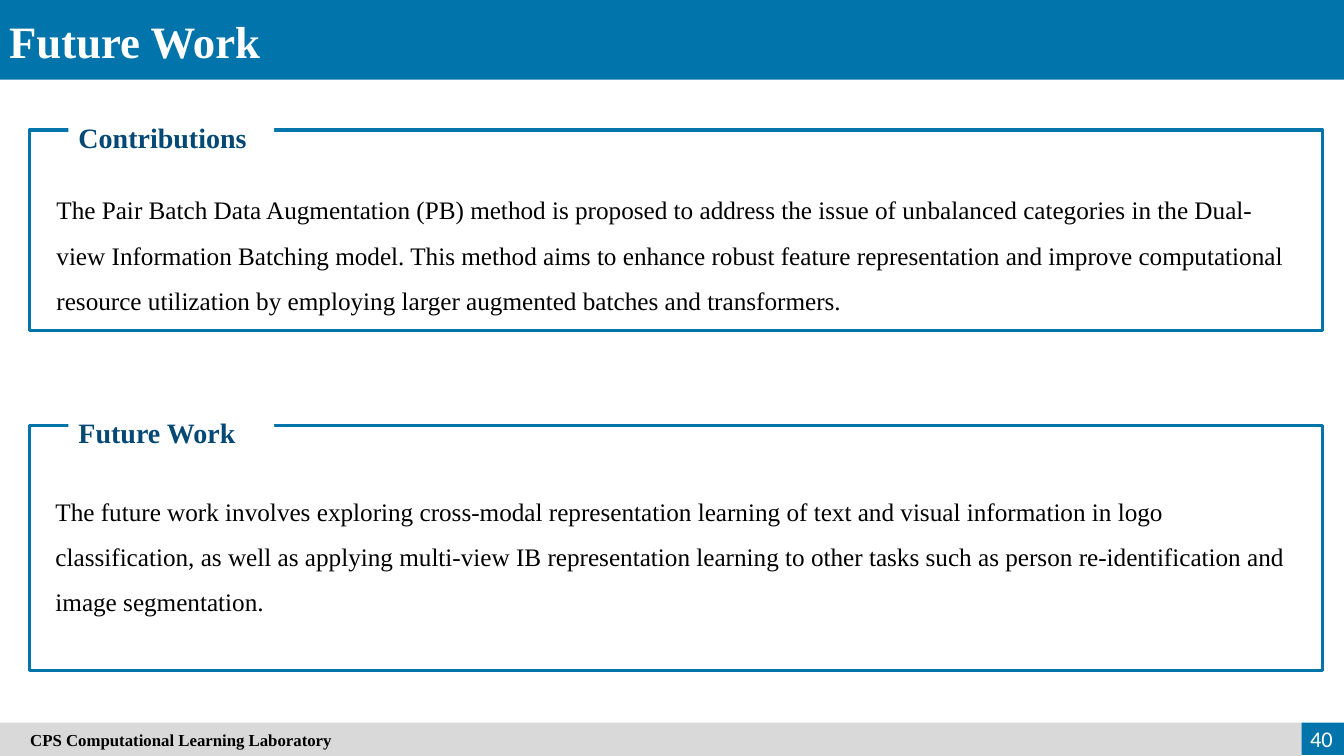
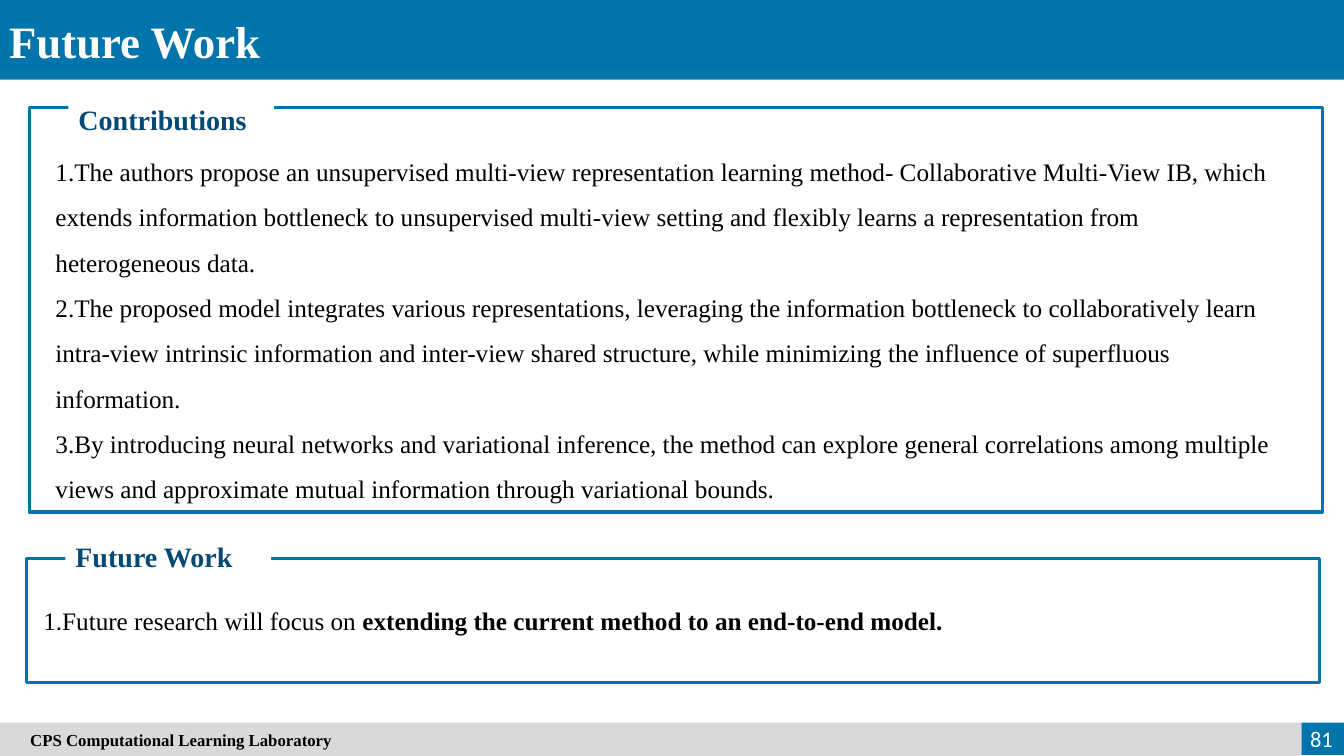
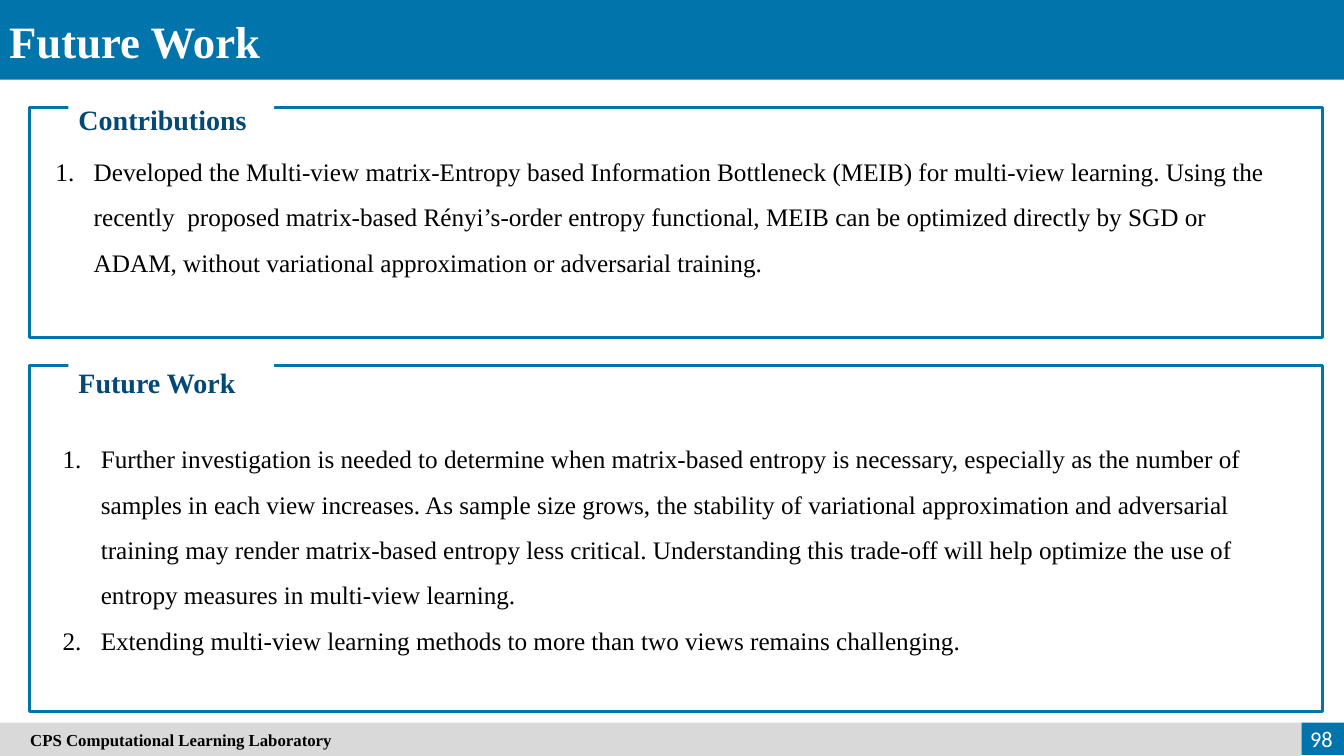
from dataclasses import dataclass

from lxml import etree
from pptx import Presentation
from pptx.dml.color import RGBColor
from pptx.enum.shapes import MSO_SHAPE
from pptx.enum.text import MSO_ANCHOR, MSO_AUTO_SIZE, PP_ALIGN
from pptx.oxml.ns import qn
from pptx.util import Inches, Pt

RECT = MSO_SHAPE.RECTANGLE
MID, TOP = MSO_ANCHOR.MIDDLE, MSO_ANCHOR.TOP
LEFT, RIGHT, JUST = PP_ALIGN.LEFT, PP_ALIGN.RIGHT, PP_ALIGN.JUSTIFY
FIXED = MSO_AUTO_SIZE.NONE

# Theme
BLUE, NAVY, GRAY = "0174AB", "044875", "D9D9D9"
WHITE, BLACK = "FFFFFF", "000000"
SERIF, SANS = "Times New Roman", "Calibri"

# Grid: square cells of a tenth of an inch
CELL = Inches(0.1)
COLS, ROWS = 133.33, 75
FOOT = 71.7
PAGE = 129.1
FRAME = 128.3
TAG_IN, TAG_W = 3.9, 20.4
HANG = 3.8


@dataclass
class Box:
    x: float
    y: float
    w: float
    h: float


@dataclass
class Item:
    text: str
    bold: str = ""


@dataclass
class Panel:
    head: str
    x: float
    y: float
    h: float
    tag_y: float
    body: Box
    items: list[Item]
    tag_h: float = 5.6
    number: bool = True
    hang: float = 0


@dataclass
class Page:
    num: int
    panels: list[Panel]


PAGES = [
    Page(40, [
        Panel("Contributions", 2.9, 12.9, 19.9, 10, Box(4.6, 17.3, 124.2, 14.1), [
            Item("The Pair Batch Data Augmentation (PB) method is proposed to address the issue of "
                 "unbalanced categories in the Dual-view Information Batching model. This method "
                 "aims to enhance robust feature representation and improve computational resource "
                 "utilization by employing larger augmented batches and transformers."),
        ], number=False),
        Panel("Future Work", 2.9, 42.2, 24.3, 39.3, Box(4.5, 47.2, 124.2, 14.1), [
            Item("The future work involves exploring cross-modal representation learning of text "
                 "and visual information in logo classification, as well as applying multi-view IB "
                 "representation learning to other tasks such as person re-identification and "
                 "image segmentation."),
        ], number=False),
    ]),
    Page(81, [
        Panel("Contributions", 2.9, 10.7, 40.1, 8.2, Box(4.5, 13.5, 124.2, 36.8), [
            Item("The authors propose an unsupervised multi-view representation learning method- "
                 "Collaborative Multi-View IB, which extends information bottleneck to "
                 "unsupervised multi-view setting and flexibly learns a representation from "
                 "heterogeneous data."),
            Item("The proposed model integrates various representations, leveraging the "
                 "information bottleneck to collaboratively learn intra-view intrinsic information "
                 "and inter-view shared structure, while minimizing the influence of superfluous "
                 "information."),
            Item("By introducing neural networks and variational inference, the method can explore "
                 "general correlations among multiple views and approximate mutual information "
                 "through variational bounds."),
        ]),
        Panel("Future Work", 2.6, 55.4, 12.3, 52.9, Box(3.3, 58.1, 126, 5), [
            Item("Future research will focus on",
                 " extending the current method to an end-to-end model."),
        ], tag_h=3),
    ]),
    Page(98, [
        Panel("Contributions", 2.9, 10.7, 22.8, 8.2, Box(4.5, 13.5, 124.2, 14.1), [
            Item("Developed the Multi-view matrix-Entropy based Information Bottleneck (MEIB) for "
                 "multi-view learning. Using the recently  proposed matrix-based Rényi’s-order "
                 "entropy functional, MEIB can be optimized directly by SGD or ADAM, without "
                 "variational approximation or adversarial training."),
        ], hang=HANG),
        Panel("Future Work", 2.9, 36.3, 34.3, 34.3, Box(5.2, 42, 126, 23.2), [
            Item("Further investigation is needed to determine when matrix-based entropy is "
                 "necessary, especially as the number of samples in each view increases. As sample "
                 "size grows, the stability of variational approximation and adversarial training "
                 "may render matrix-based entropy less critical. Understanding this trade-off will "
                 "help optimize the use of entropy measures in multi-view learning."),
            Item("Extending multi-view learning methods to more than two views remains "
                 "challenging."),
        ], hang=HANG),
    ]),
]


def grid(n: float) -> int:
    return round(n * CELL)


def edges(box: Box) -> tuple[int, ...]:
    return tuple(grid(n) for n in (box.x, box.y, box.w, box.h))


def color(code: str) -> RGBColor:
    return RGBColor.from_string(code)


def style(para, size: int, code: str, bold: bool = False, face: str = SERIF, align=LEFT) -> None:
    para.alignment = align
    font = para.font
    font.size, font.bold, font.name = Pt(size), bold, face
    font.color.rgb = color(code)


def rect(slide, box: Box, fill: str = "", line: str = ""):
    shape = slide.shapes.add_shape(RECT, *edges(box))
    shape.shadow.inherit = False
    if fill:
        shape.fill.solid()
        shape.fill.fore_color.rgb = color(fill)
    else:
        shape.fill.background()
    if line:
        shape.line.color.rgb = color(line)
        shape.line.width = Pt(2.25)
    else:
        shape.line.fill.background()
    return shape


def write(shape, text: str, anchor=MID):
    """Put one paragraph in a shape and return it."""
    frame = shape.text_frame
    frame.word_wrap, frame.auto_size = True, FIXED
    frame.vertical_anchor = anchor
    frame.text = text
    return frame.paragraphs[0]


def place(holder, box: Box) -> None:
    """Move a placeholder to its box, in front of what is drawn so far."""
    holder.left, holder.top, holder.width, holder.height = edges(box)
    holder.element.getparent().append(holder.element)


def bullet(para, number: bool, hang: float) -> None:
    props = para._p.get_or_add_pPr()
    props.set("marL", str(grid(hang)))
    props.set("indent", str(-grid(hang)))
    if number:
        etree.SubElement(props, qn("a:buFont")).set("typeface", SERIF)
        etree.SubElement(props, qn("a:buAutoNum")).set("type", "arabicPeriod")
    else:
        etree.SubElement(props, qn("a:buNone"))


def draw_panel(slide, panel: Panel, holder) -> None:
    # Frame with its heading over the top edge
    rect(slide, Box(panel.x, panel.y, FRAME, panel.h), line=BLUE)
    tag = rect(slide, Box(panel.x + TAG_IN, panel.tag_y, TAG_W, panel.tag_h), WHITE)
    head = write(tag, panel.head)
    head.line_spacing = 1.5
    style(head, 20, NAVY, True)

    # Body text
    place(holder, panel.body)
    para = write(holder, "", TOP)
    for i, item in enumerate(panel.items):
        if i:
            para = holder.text_frame.add_paragraph()
        bullet(para, panel.number, panel.hang)
        para.line_spacing, para.space_before = 1.5, Pt(0)
        style(para, 18, BLACK)
        para.add_run().text = item.text
        if item.bold:
            run = para.add_run()
            run.text, run.font.bold = item.bold, True


def draw_base(slide, num: int) -> None:
    # Title band
    rect(slide, Box(0, 0, COLS, 7.9), BLUE)
    title = slide.shapes.title
    place(title, Box(-0.1, 0.8, 53.7, 6.4))
    style(write(title, "Future Work"), 32, WHITE, True, align=JUST)

    # Footer
    rect(slide, Box(PAGE, FOOT, COLS - PAGE, 3.2), BLUE)
    foot = rect(slide, Box(0, FOOT, PAGE, ROWS - FOOT), GRAY)
    style(write(foot, "CPS Computational Learning Laboratory"), 12, BLACK, True)
    foot.text_frame.margin_left = grid(3)
    page = slide.shapes.add_textbox(*edges(Box(126.9, 71.3, 6.3, 4)))
    style(write(page, str(num)), 16, WHITE, face=SANS, align=RIGHT)


def main() -> None:
    deck = Presentation()
    deck.slide_width, deck.slide_height = grid(COLS), grid(ROWS)
    layout = deck.slide_layouts.get_by_name("Two Content")
    for page in PAGES:
        slide = deck.slides.add_slide(layout)
        bodies = list(slide.placeholders)[1:]
        draw_base(slide, page.num)
        for panel, holder in zip(page.panels, bodies):
            draw_panel(slide, panel, holder)
    deck.save("out.pptx")


if __name__ == "__main__":
    main()
